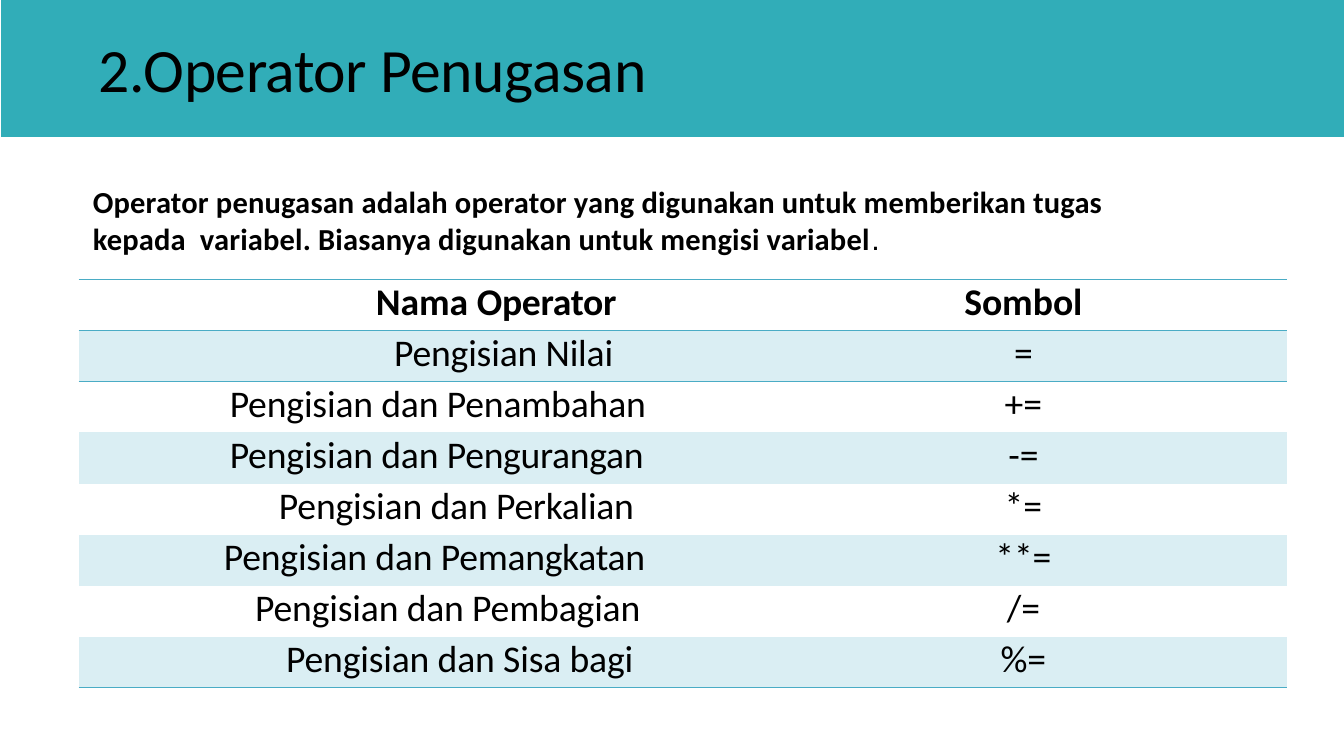
from dataclasses import dataclass

from lxml import etree
from pptx import Presentation
from pptx.dml.color import RGBColor
from pptx.enum.shapes import MSO_SHAPE
from pptx.enum.text import MSO_ANCHOR, PP_ALIGN
from pptx.oxml.ns import qn
from pptx.util import Cm, Pt

RECTANGLE = MSO_SHAPE.RECTANGLE
TOP, MIDDLE = MSO_ANCHOR.TOP, MSO_ANCHOR.MIDDLE
LEFT, CENTER = PP_ALIGN.LEFT, PP_ALIGN.CENTER
NO_STYLE_NO_GRID = "{2D5ABB26-0587-4C30-8999-92F81FD0307C}"


@dataclass(frozen=True)
class Theme:
    font: str = "Calibri"
    stop_font: str = "Arial"
    text: str = "000000"
    banner: str = "31ADB8"
    rule: str = "4AACC5"
    band: str = "DAEEF3"
    title_size: float = 44
    intro_size: float = 21.8
    table_size: float = 26.9
    rule_width: float = 1


# Indent in cm, (text, letter spacing in points) runs, symbol, symbol spacing
OPERATORS = [
    (7.49, [("Nama ", 0), ("Operator", -0.2)], "Sombol", 0),
    (7.95, [("Pengisian Nilai", -0.1)], "=", 0),
    (3.81, [("Pengisian dan Penambahan", -0.1)], "+=", -0.1),
    (3.81, [("Pengisian dan ", -0.1), ("Pengurangan", -0.2)], "-=", 0),
    (5.05, [("Pengisian dan ", -0.1), ("Perkalian", -0.2)], "*=", -0.1),
    (3.66, [("Pengisian dan ", -0.1), ("Pemangkatan", -0.2)], "**=", -0.1),
    (4.45, [("Pengisian dan Pembagian", -0.1)], "/=", 0),
    (5.23, [("Pengisian dan Sisa bagi", -0.1)], "%=", 0),
]


def set_all(target, values):
    for name, value in values.items():
        setattr(target, name, value)


class SlideBuilder:
    def __init__(self, slide, theme):
        self.slide = slide
        self.theme = theme

    def banner(self, left, top, width, height):
        band = self.slide.shapes.add_shape(
            RECTANGLE, Cm(left), Cm(top), Cm(width), Cm(height))
        band.shadow.inherit = False
        band.fill.solid()
        band.fill.fore_color.rgb = RGBColor.from_string(self.theme.banner)
        band.line.fill.background()

    def add_runs(self, paragraph, runs, size, bold=False, indent=0, **layout):
        """Fill a paragraph with (text, letter spacing) runs."""
        set_all(paragraph, layout)
        if indent:
            paragraph._p.get_or_add_pPr().set("marL", str(Cm(indent)))
        for text, spacing in runs:
            run = paragraph.add_run()
            run.text = text
            set_all(run.font, {"name": self.theme.font, "size": Pt(size),
                               "bold": bold})
            run.font.color.rgb = RGBColor.from_string(self.theme.text)
            run._r.get_or_add_rPr().set("spc", str(round(spacing * 100)))

    def text(self, left, top, width, height, runs, size, anchor=TOP,
             margin_right=0, **format_values):
        """Add a text box and return its paragraph."""
        box = self.slide.shapes.add_textbox(
            Cm(left), Cm(top), Cm(width), Cm(height))
        frame = box.text_frame
        set_all(frame, {
            "word_wrap": True, "vertical_anchor": anchor,
            "margin_left": 0, "margin_right": Cm(margin_right),
            "margin_top": Cm(0.03), "margin_bottom": 0})
        self.add_runs(frame.paragraphs[0], runs, size, **format_values)
        return frame.paragraphs[0]

    def cell_rule(self, cell, edge):
        """Draw the rule on one edge of a cell: "T" or "B"."""
        line = etree.SubElement(
            cell._tc.get_or_add_tcPr(), qn(f"a:ln{edge}"),
            w=str(Pt(self.theme.rule_width)))
        fill = etree.SubElement(line, qn("a:solidFill"))
        etree.SubElement(fill, qn("a:srgbClr"), val=self.theme.rule)

    def cell(self, cell, row, last_row, runs, **format_values):
        set_all(cell, {"margin_left": 0, "margin_right": 0,
                       "margin_top": 0, "margin_bottom": 0})
        if row <= 1:
            self.cell_rule(cell, "T")
        if row in (0, 1, last_row):
            self.cell_rule(cell, "B")
        if row % 2:
            cell.fill.solid()
            cell.fill.fore_color.rgb = RGBColor.from_string(self.theme.band)
        else:
            cell.fill.background()
        self.add_runs(cell.text_frame.paragraphs[0], runs,
                      self.theme.table_size, bold=row == 0,
                      space_before=Pt(0.5), **format_values)

    def operator_table(self, left, top, column_widths, height, operators):
        table = self.slide.shapes.add_table(
            len(operators), len(column_widths), Cm(left), Cm(top),
            Cm(sum(column_widths)), Cm(height)).table
        set_all(table, {"first_row": False, "horz_banding": False})
        table._tbl.tblPr.find(qn("a:tableStyleId")).text = NO_STYLE_NO_GRID
        for column, width in zip(table.columns, column_widths):
            column.width = Cm(width)
        last_row = len(operators) - 1
        for row, (indent, name, symbol, spacing) in enumerate(operators):
            self.cell(table.cell(row, 0), row, last_row, name,
                      indent=indent, alignment=LEFT)
            self.cell(table.cell(row, 1), row, last_row, [(symbol, spacing)],
                      alignment=CENTER)


def main():
    presentation = Presentation()
    set_all(presentation, {"slide_width": Cm(33.87), "slide_height": Cm(19.05)})
    theme = Theme()
    builder = SlideBuilder(
        presentation.slides.add_slide(presentation.slide_layouts[6]), theme)

    builder.banner(0.03, 0, 33.84, 3.45)
    builder.text(2.46, 0.74, 19.05, 1.9,
                 [("2.Operator ", -0.4), ("Penugasan", -0.3)],
                 theme.title_size, anchor=MIDDLE, indent=0.03,
                 space_before=Pt(1))
    builder.operator_table(1.98, 7.04, (17.17, 13.28), 10.29, OPERATORS)
    intro = builder.text(
        2.31, 4.57, 28.09, 1.9,
        [("Operator penugasan adalah operator yang digunakan untuk memberikan "
          "tugas kepada  variabel. Biasanya digunakan untuk mengisi variabel",
          0.1), (".", 0.1)],
        theme.intro_size, margin_right=1.3, bold=True, indent=0.03,
        line_spacing=1.01, space_before=Pt(0.7))
    set_all(intro.runs[-1].font, {"name": theme.stop_font, "bold": False})

    presentation.save("out.pptx")


if __name__ == "__main__":
    main()
